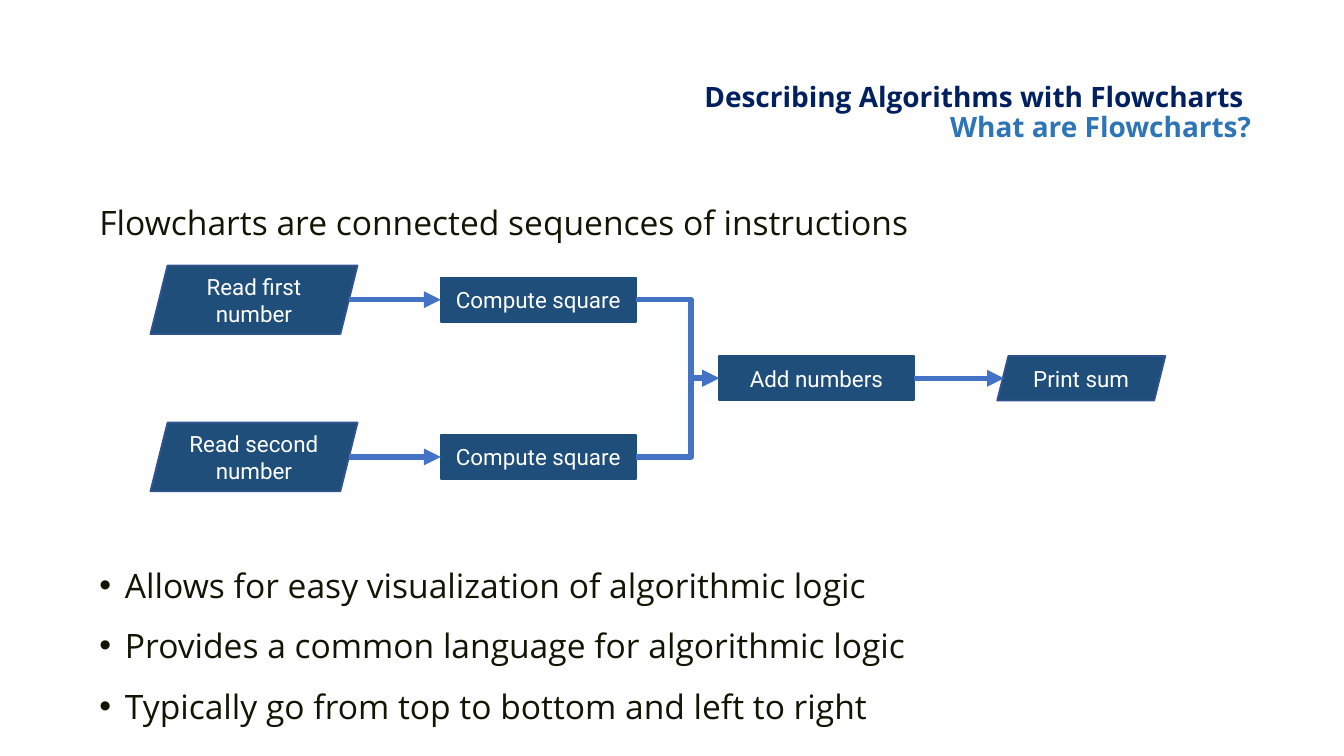
from dataclasses import dataclass

from lxml import etree
from pptx import Presentation
from pptx.dml.color import RGBColor
from pptx.enum.shapes import MSO_CONNECTOR, MSO_SHAPE
from pptx.enum.text import MSO_ANCHOR, PP_ALIGN
from pptx.oxml.ns import qn
from pptx.util import Inches, Pt

PROCESS = MSO_SHAPE.RECTANGLE
INPUT_OUTPUT = MSO_SHAPE.PARALLELOGRAM
STRAIGHT = MSO_CONNECTOR.STRAIGHT
ELBOW = MSO_CONNECTOR.ELBOW
MIDDLE = MSO_ANCHOR.MIDDLE
CENTER = PP_ALIGN.CENTER
RIGHT = PP_ALIGN.RIGHT

NAVY = RGBColor(0x00, 0x20, 0x60)
BLUE = RGBColor(0x2E, 0x75, 0xB5)
STEP_FILL = RGBColor(0x1E, 0x4E, 0x79)
SLANTED_OUTLINE = RGBColor(0x31, 0x53, 0x8F)
ARROW_BLUE = RGBColor(0x44, 0x72, 0xC4)
BODY_DARK = RGBColor(0x12, 0x15, 0x04)
WHITE = RGBColor(0xFF, 0xFF, 0xFF)

HEADING_FONT = "Open Sans"
STEP_FONT = "Roboto"

SLIDE_WIDTH = 10
SLIDE_HEIGHT = SLIDE_WIDTH * 9 / 16

# Centre lines of the flowchart rows
TOP_ROW = 2.23
BOTTOM_ROW = 3.4
MIDDLE_ROW = (TOP_ROW + BOTTOM_ROW) / 2

BODY_LEFT, BODY_TOP, BODY_WIDTH = 0.74, 1.35, 8.13
LINE_PITCH = 0.45
BULLET_LINE = 6  # body lines above the first bullet


@dataclass(frozen=True)
class Step:
    text: str
    left: float
    center_y: float
    width: float
    height: float
    kind: MSO_SHAPE


@dataclass(frozen=True)
class Arrow:
    start: tuple[float, float]
    end: tuple[float, float]
    kind: MSO_CONNECTOR = STRAIGHT


STEPS = [
    Step("Read first number", 1.12, TOP_ROW, 1.54, 0.51, INPUT_OUTPUT),
    Step("Read second number", 1.12, BOTTOM_ROW, 1.54, 0.51, INPUT_OUTPUT),
    Step("Compute square", 3.28, TOP_ROW, 1.45, 0.33, PROCESS),
    Step("Compute square", 3.28, BOTTOM_ROW, 1.45, 0.33, PROCESS),
    Step("Add numbers", 5.35, MIDDLE_ROW, 1.45, 0.33, PROCESS),
    Step("Print sum", 7.42, MIDDLE_ROW, 1.25, 0.33, INPUT_OUTPUT),
]

ARROWS = [Arrow((6.8, MIDDLE_ROW), (7.47, MIDDLE_ROW))]
for row in (TOP_ROW, BOTTOM_ROW):
    ARROWS.append(Arrow((2.6, row), (3.28, row)))
    ARROWS.append(Arrow((4.73, row), (5.35, MIDDLE_ROW), ELBOW))

INTRO = ["Flowcharts are connected sequences of instructions"]
BULLETS = [
    "Allows for easy visualization of algorithmic logic",
    "Provides a common language for algorithmic logic",
    "Typically go from top to bottom and left to right",
]


def add_text_frame(slide, left: float, top: float, width: float, height: float):
    box = slide.shapes.add_textbox(
        Inches(left), Inches(top), Inches(width), Inches(height))
    frame = box.text_frame
    frame.word_wrap = True
    frame.margin_left = frame.margin_right = 0
    frame.margin_top = frame.margin_bottom = 0
    return frame


def add_title(slide) -> None:
    frame = add_text_frame(slide, 5, 0.62, 4.31, 0.45)
    frame.vertical_anchor = MIDDLE
    paragraph = frame.paragraphs[0]
    paragraph.alignment = RIGHT
    paragraph.line_spacing = 0.9
    paragraph.font.name = HEADING_FONT
    paragraph.font.size = Pt(15)
    paragraph.font.bold = True
    heading = paragraph.add_run()
    heading.text = "Describing Algorithms with Flowcharts "
    heading.font.color.rgb = NAVY
    paragraph.add_line_break()
    subheading = paragraph.add_run()
    subheading.text = "What are Flowcharts?"
    subheading.font.color.rgb = BLUE


def add_bullet(paragraph) -> None:
    properties = paragraph._p.get_or_add_pPr()
    properties.set("marL", str(Inches(0.19)))
    properties.set("indent", str(Inches(-0.19)))
    etree.SubElement(properties, qn("a:buFont"), typeface="Arial")
    etree.SubElement(properties, qn("a:buChar"), char="•")


def add_body(slide, lines: list[str], top: float, bulleted: bool) -> None:
    frame = add_text_frame(
        slide, BODY_LEFT, top, BODY_WIDTH, LINE_PITCH * len(lines))
    for index, line in enumerate(lines):
        paragraph = frame.add_paragraph() if index else frame.paragraphs[0]
        paragraph.text = line
        paragraph.line_spacing = 1.5
        if bulleted:
            add_bullet(paragraph)
        paragraph.font.name = HEADING_FONT
        paragraph.font.size = Pt(18)
        paragraph.font.color.rgb = BODY_DARK


def add_step(slide, step: Step) -> None:
    shape = slide.shapes.add_shape(
        step.kind, Inches(step.left), Inches(step.center_y - step.height / 2),
        Inches(step.width), Inches(step.height))
    shape.shadow.inherit = False
    shape.fill.solid()
    shape.fill.fore_color.rgb = STEP_FILL
    shape.line.color.rgb = STEP_FILL if step.kind == PROCESS else SLANTED_OUTLINE
    shape.line.width = Pt(1)
    frame = shape.text_frame
    frame.word_wrap = True
    frame.vertical_anchor = MIDDLE
    frame.margin_left = frame.margin_right = Inches(0.07)
    frame.margin_top = frame.margin_bottom = Inches(0.04)
    paragraph = frame.paragraphs[0]
    paragraph.text = step.text
    paragraph.alignment = CENTER
    paragraph.font.name = STEP_FONT
    paragraph.font.size = Pt(12)
    paragraph.font.color.rgb = WHITE


def add_arrow(slide, arrow: Arrow) -> None:
    points = [Inches(value) for value in arrow.start + arrow.end]
    connector = slide.shapes.add_connector(arrow.kind, *points)
    connector.line.color.rgb = ARROW_BLUE
    connector.line.width = Pt(3)
    properties = connector._element.spPr
    line = properties.find(qn("a:ln"))
    etree.SubElement(line, qn("a:tailEnd"), type="triangle")
    etree.SubElement(properties, qn("a:effectLst"))
    if arrow.kind == ELBOW:
        # Bend two thirds of the way along
        guides = properties.find(qn("a:prstGeom")).find(qn("a:avLst"))
        etree.SubElement(guides, qn("a:gd"), name="adj1", fmla="val 66400")


def main() -> None:
    presentation = Presentation()
    presentation.slide_width = Inches(SLIDE_WIDTH)
    presentation.slide_height = Inches(SLIDE_HEIGHT)
    slide = presentation.slides.add_slide(presentation.slide_layouts[6])

    # Flowchart
    for step in STEPS:
        add_step(slide, step)
    for arrow in ARROWS:
        add_arrow(slide, arrow)

    # Title and body text
    add_title(slide)
    add_body(slide, INTRO, BODY_TOP, bulleted=False)
    add_body(slide, BULLETS, BODY_TOP + BULLET_LINE * LINE_PITCH, bulleted=True)

    presentation.save("out.pptx")


if __name__ == "__main__":
    main()
